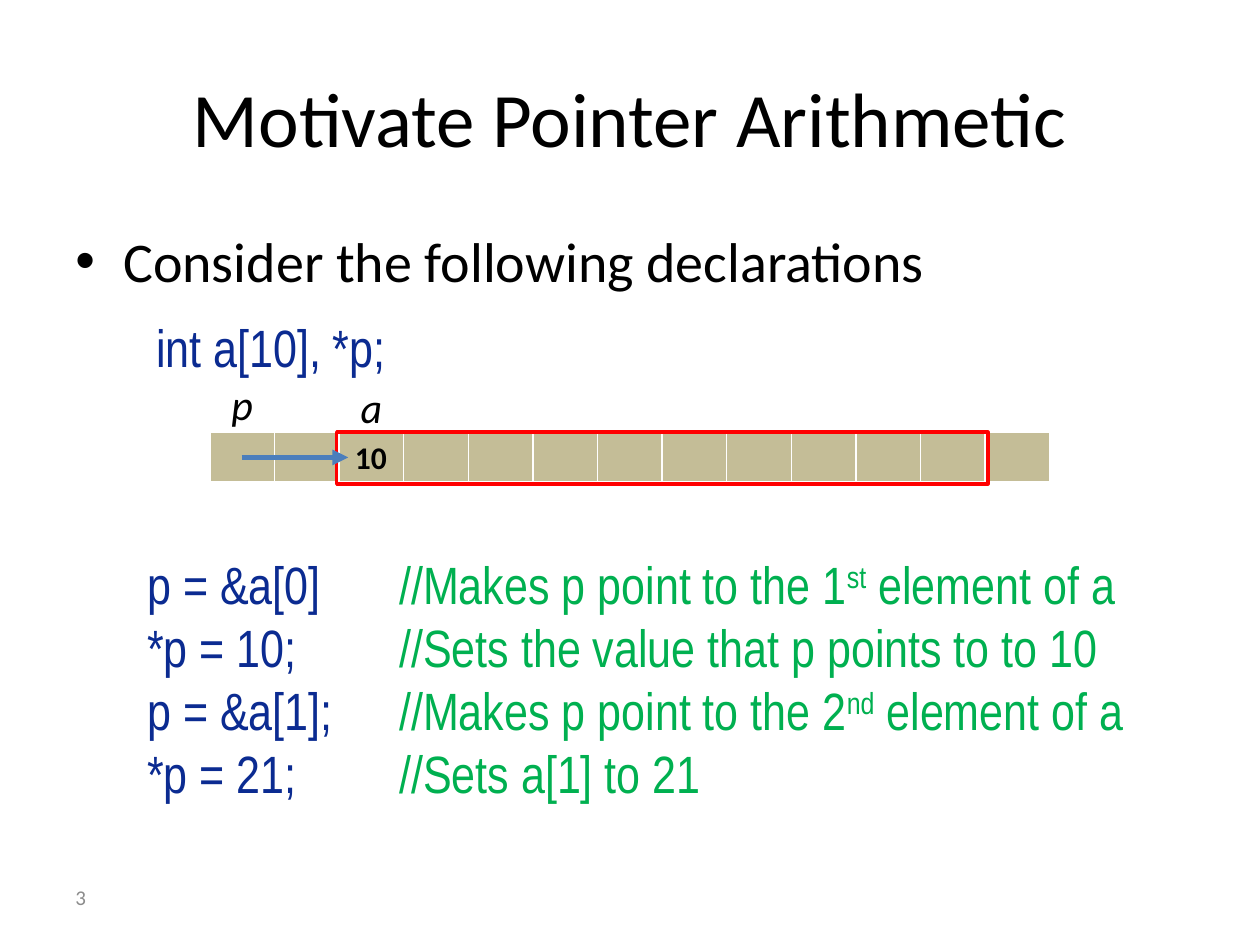
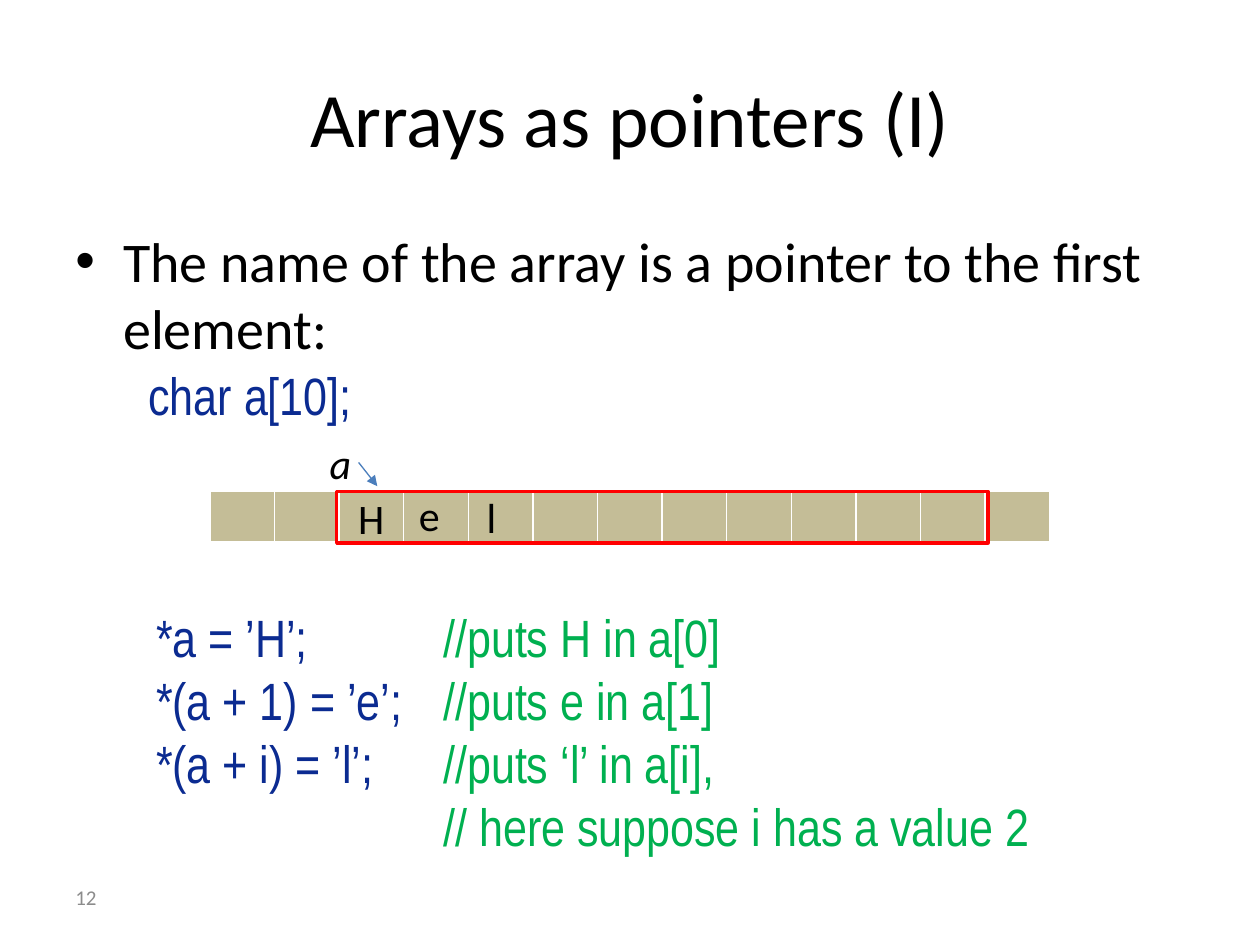
from lxml.etree import SubElement
from pptx import Presentation
from pptx.dml.color import RGBColor
from pptx.enum.shapes import MSO_CONNECTOR as Connector, MSO_SHAPE as Shape
from pptx.enum.text import MSO_ANCHOR as Anchor, PP_ALIGN as Align
from pptx.oxml import parse_xml
from pptx.oxml.ns import nsdecls, qn
from pptx.util import Inches, Pt

COLORS = {"ink": "000000", "code": "0B2B91", "comment": "00B050", "cell": "C4BD97",
          "frame": "FF0000", "arrow": "4B7EBC", "number": "8C8C8C", "border": "FFFFFF"}
BODY_FONT, CODE_FONT = "Calibri", "Arial Narrow"
WIDTH, HEIGHT = 10, 7.5
MARGIN = WIDTH / 20
CELLS, FIRST_CELL, ARRAY_CELLS = 13, 2, 10
STRIP_LEFT, STRIP_WIDTH, ROW = WIDTH / 6, WIDTH * 2 / 3, 0.41
COLUMN = STRIP_WIDTH / CELLS

SLIDES = [
    {
        "title": "Motivate Pointer Arithmetic",
        "number": "3",
        "bullet": "Consider the following declarations",
        "declaration": ("int a[10], *p;", (1.14, 2.45, 3.52, 0.61)),
        "strip_top": 3.43,
        "labels": [("a", 2.14, -1.1, {"italic": True}),
                   ("p", 0.14, -1.15, {"italic": True}),
                   ("10", 2.05, 0, {"size": 18, "bold": True})],
        "arrow": ((0.49, 0.49), (2.14, 0.49), 3),
        "code_at": (1.07, 4.33, 8.36, 2.12),
        "comment_tab": 2,
        "code": [("p = &a[0]", ["//Makes p point to the 1", ("st",), " element of a"]),
                 ("*p = 10;", ["//Sets the value that p points to to 10"]),
                 ("p = &a[1];", ["//Makes p point to the 2", ("nd",), " element of a"]),
                 ("*p = 21;", ["//Sets a[1] to 21"])],
    },
    {
        "title": "Arrays as pointers (I)",
        "number": "12",
        "bullet": "The name of the array is a pointer to the first element:",
        "declaration": ("char a[10];", (1.08, 2.83, 2.25, 0.61)),
        "strip_top": 3.9,
        "labels": [("a", 1.66, -1.17, {"italic": True}),
                   ("H", 2.1, -0.1, {}),
                   ("e", 3.04, -0.15, {}),
                   ("l", 4.09, -0.12, {})],
        "arrow": ((2.3, -0.56), (2.59, -0.1), 0.75),
        "code_at": (1.14, 4.75, 7.94, 2.12),
        "comment_tab": 2.28,
        "code": [("*a = ’H’;", ["//puts H in a[0]"]),
                 ("*(a + 1) = ’e’;", ["//puts e in a[1]"]),
                 ("*(a + i) = ’l’;", ["//puts ‘l’ in a[i],"]),
                 ("", ["// here suppose i has a value 2"])],
    },
]


def color(name):
    return RGBColor.from_string(COLORS[name])


def add_span(para, text, size, ink="ink", font=BODY_FONT, bold=False, italic=False):
    span = para.add_run()
    span.text = text
    span.font.size, span.font.name = Pt(size), font
    span.font.bold, span.font.italic = bold, italic
    span.font.color.rgb = color(ink)
    return span


def add_box(slide, at):
    box = slide.shapes.add_textbox(*map(Inches, at))
    box.text_frame.word_wrap = True
    return box.text_frame


def add_title(slide, text):
    title = slide.shapes.title
    title.left, title.top = Inches(MARGIN), Inches(0.3)
    title.width, title.height = Inches(WIDTH - 2 * MARGIN), Inches(HEIGHT / 6)
    title.text_frame.vertical_anchor = Anchor.MIDDLE
    para = title.text_frame.paragraphs[0]
    para.alignment = Align.CENTER
    add_span(para, text, 44)


def add_bullet(slide, text):
    para = add_box(slide, (MARGIN, 1.75, WIDTH - 2 * MARGIN, 4.95)).paragraphs[0]
    props = para._p.get_or_add_pPr()
    props.set("marL", str(Inches(0.38)))
    props.set("indent", str(-Inches(0.38)))
    SubElement(props, qn("a:buFont"), typeface="Arial")
    SubElement(props, qn("a:buChar"), char="•")
    add_span(para, text, 32)


def add_number(slide, text):
    frame = add_box(slide, (MARGIN, 6.92, 2.33, 0.4))
    frame.vertical_anchor = Anchor.MIDDLE
    add_span(frame.paragraphs[0], text, 12, "number")


def add_strip(slide, top):
    table = slide.shapes.add_table(1, CELLS, *map(Inches, (STRIP_LEFT, top, STRIP_WIDTH, ROW))).table
    for column in table.columns:
        column.width = Inches(COLUMN)
    for cell in table.iter_cells():
        cell.fill.solid()
        cell.fill.fore_color.rgb = color("cell")
        props = cell._tc.get_or_add_tcPr()
        for place, (side, points) in enumerate([("L", 1), ("R", 1), ("T", 1), ("B", 3)]):
            props.insert(place, parse_xml(
                f'<a:ln{side} {nsdecls("a")} w="{Pt(points)}"><a:solidFill>'
                f'<a:srgbClr val="{COLORS["border"]}"/></a:solidFill></a:ln{side}>'))


def add_frame(slide, top):
    left = STRIP_LEFT + FIRST_CELL * COLUMN - 0.02
    width = ARRAY_CELLS * COLUMN + 0.04
    frame = slide.shapes.add_shape(Shape.RECTANGLE, *map(Inches, (left, top, width, ROW)))
    frame.shadow.inherit = False
    frame.fill.background()
    frame.line.color.rgb = color("frame")
    frame.line.width = Pt(2)


def strip_point(top, column, row):
    return STRIP_LEFT + column * COLUMN, top + row * ROW


def add_arrow(slide, top, start, end, points):
    ends = strip_point(top, *start) + strip_point(top, *end)
    arrow = slide.shapes.add_connector(Connector.STRAIGHT, *map(Inches, ends))
    arrow.line.color.rgb = color("arrow")
    arrow.line.width = Pt(points)
    SubElement(arrow.line._get_or_add_ln(), qn("a:tailEnd"), type="triangle")
    SubElement(arrow._element.spPr, qn("a:effectLst"))


def add_code(slide, at, tab, lines):
    frame = add_box(slide, at)
    for index, (code, comment) in enumerate(lines):
        para = frame.add_paragraph() if index else frame.paragraphs[0]
        tabs = SubElement(para._p.get_or_add_pPr(), qn("a:tabLst"))
        SubElement(tabs, qn("a:tab"), pos=str(Inches(tab)), algn="l")
        add_span(para, code + "\t", 30, "code", CODE_FONT)
        for part in comment:
            raised = isinstance(part, tuple)
            span = add_span(para, part[0] if raised else part, 30, "comment", CODE_FONT)
            if raised:
                span.font._element.set("baseline", "30000")


def build_slide(deck, content):
    slide = deck.slides.add_slide(deck.slide_layouts[5])
    top = content["strip_top"]
    add_title(slide, content["title"])
    add_bullet(slide, content["bullet"])
    add_number(slide, content["number"])
    text, at = content["declaration"]
    add_span(add_box(slide, at).paragraphs[0], text, 30, "code", CODE_FONT)
    add_strip(slide, top)
    add_code(slide, content["code_at"], content["comment_tab"], content["code"])
    add_frame(slide, top)
    for text, column, row, style in content["labels"]:
        frame = add_box(slide, (*strip_point(top, column, row), 0.58, 0.5))
        add_span(frame.paragraphs[0], text, **{"size": 24, **style})
    add_arrow(slide, top, *content["arrow"])


def main():
    deck = Presentation()
    deck.slide_width, deck.slide_height = Inches(WIDTH), Inches(HEIGHT)
    for content in SLIDES:
        build_slide(deck, content)
    deck.save("out.pptx")


if __name__ == "__main__":
    main()
